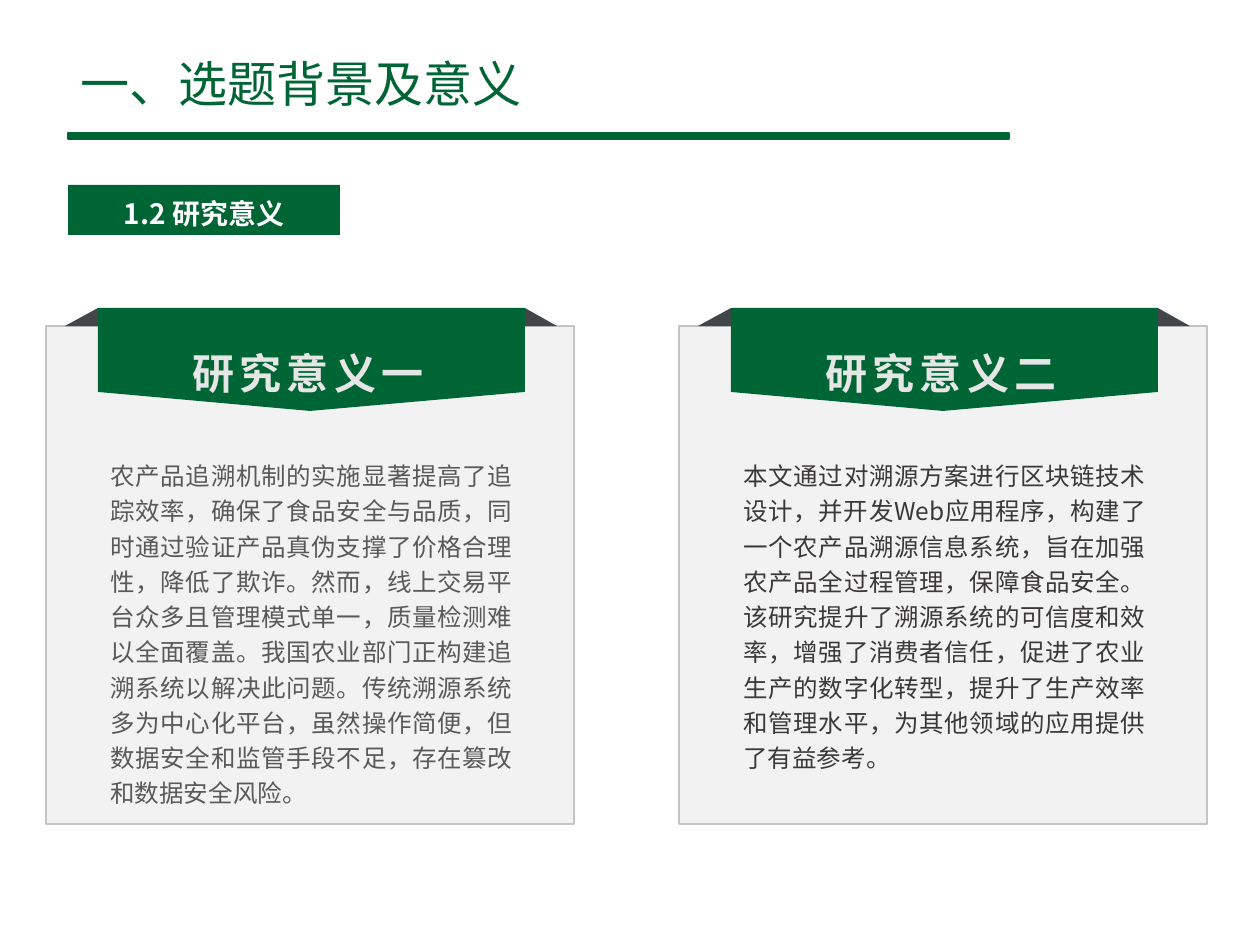
"""Build the slide on research significance with two ribbon cards."""
import pptx
import pptx.util
import pptx.dml.color
import pptx.enum.shapes
import pptx.enum.text
import pptx.oxml.ns
import lxml.etree

PX = 7257
FONT = "Noto Sans CJK SC"
GREEN = "006534"
RECT = pptx.enum.shapes.MSO_SHAPE.RECTANGLE
ALIGN = pptx.enum.text.PP_ALIGN
FIT = pptx.enum.text.MSO_AUTO_SIZE
MID = pptx.enum.text.MSO_ANCHOR.MIDDLE
TOP = pptx.enum.text.MSO_ANCHOR.TOP


def paint(shape, fill, line=None, width=1):
    shape.shadow.inherit = False
    shape.fill.solid()
    shape.fill.fore_color.rgb = pptx.dml.color.RGBColor.from_string(fill)
    if line:
        shape.line.color.rgb = pptx.dml.color.RGBColor.from_string(line)
        shape.line.width = pptx.util.Pt(width)
    else:
        shape.line.fill.background()


def write(shape, text, size, color, bold, align, space, frame):
    for name, value in frame.items():
        setattr(shape.text_frame, name, value)
    para = shape.text_frame.paragraphs[0]
    para.alignment = align
    para.line_spacing = space
    run = para.add_run()
    run.text = text
    look = {"size": pptx.util.Pt(size), "bold": bold, "name": FONT}
    for name, value in look.items():
        setattr(run.font, name, value)
    run.font.color.rgb = pptx.dml.color.RGBColor.from_string(color)
    props = run._r.get_or_add_rPr()
    lxml.etree.SubElement(props, pptx.oxml.ns.qn("a:ea"), typeface=FONT)
    return props


deck = pptx.Presentation()
deck.slide_width = pptx.util.Inches(10)
deck.slide_height = pptx.util.Inches(7.5)
slide = deck.slides.add_slide(deck.slide_layouts[5])

title = slide.shapes.title
place = {"left": 68, "top": 53, "width": 665, "height": 60}
for name, value in place.items():
    setattr(title, name, value * PX)
write(title, "一、选题背景及意义", 28, GREEN, False, ALIGN.LEFT, 1.0,
      {"word_wrap": True, "auto_size": FIT.NONE, "vertical_anchor": MID})

rule = slide.shapes.add_shape(RECT, 68 * PX, 133 * PX, 941 * PX, 6 * PX)
paint(rule, GREEN, GREEN)

cards = [
    (46, "研究意义一", "595959", 430,
     "农产品追溯机制的实施显著提高了追踪效率，确保了食品安全与品质，"
     "同时通过验证产品真伪支撑了价格合理性，降低了欺诈。"
     "然而，线上交易平台众多且管理模式单一，质量检测难以全面覆盖。"
     "我国农业部门正构建追溯系统以解决此问题。"
     "传统溯源系统多为中心化平台，虽然操作简便，"
     "但数据安全和监管手段不足，存在篡改和数据安全风险。"),
    (679, "研究意义二", "3B3838", 369,
     "本文通过对溯源方案进行区块链技术设计，并开发Web应用程序，"
     "构建了一个农产品溯源信息系统，旨在加强农产品全过程管理，"
     "保障食品安全。该研究提升了溯源系统的可信度和效率，"
     "增强了消费者信任，促进了农业生产的数字化转型，"
     "提升了生产效率和管理水平，为其他领域的应用提供了有益参考。"),
]
folds = [
    ("41464A", [(52, 308), (479, 308), (511, 326), (19, 326)]),
    (GREEN, [(52, 308), (479, 308), (479, 392), (264, 411), (52, 392)]),
]
for left, head, ink, tall, body in cards:
    group = slide.shapes.add_group_shape().shapes
    panel = group.add_shape(RECT, left * PX, 326 * PX, 528 * PX, 498 * PX)
    paint(panel, "F2F2F2", "C5C3C3", 0.75)
    for fill, spots in folds:
        points = [((left + x) * PX, y * PX) for x, y in spots]
        pen = group.build_freeform(*points[0], scale=1.0)
        pen.add_line_segments(points[1:], close=True)
        paint(pen.convert_to_shape(), fill)
    label = group.add_textbox((left + 134) * PX, 331 * PX, 262 * PX, 73 * PX)
    props = write(label, head, 24, "E7E6E6", True, ALIGN.JUSTIFY, 1.2,
                  {"word_wrap": False, "auto_size": FIT.SHAPE_TO_FIT_TEXT, "vertical_anchor": TOP})
    props.set("spc", "300")
    block = group.add_textbox((left + 52) * PX, 449 * PX, 427 * PX, tall * PX)
    write(block, body, 14, ink, False, ALIGN.JUSTIFY, 1.2,
          {"word_wrap": True, "auto_size": FIT.SHAPE_TO_FIT_TEXT, "vertical_anchor": TOP})

badge = slide.shapes.add_shape(RECT, 68 * PX, 185 * PX, 272 * PX, 50 * PX)
paint(badge, GREEN)
pad = {"margin_" + side: 9 * PX for side in ("left", "right")}
pad.update({"margin_" + side: 5 * PX for side in ("top", "bottom")})
write(badge, "1.2 研究意义", 16, "FFFFFF", True, ALIGN.CENTER, 1.2,
      {"word_wrap": True, "auto_size": FIT.SHAPE_TO_FIT_TEXT, "vertical_anchor": MID, **pad})

deck.save("out.pptx")
